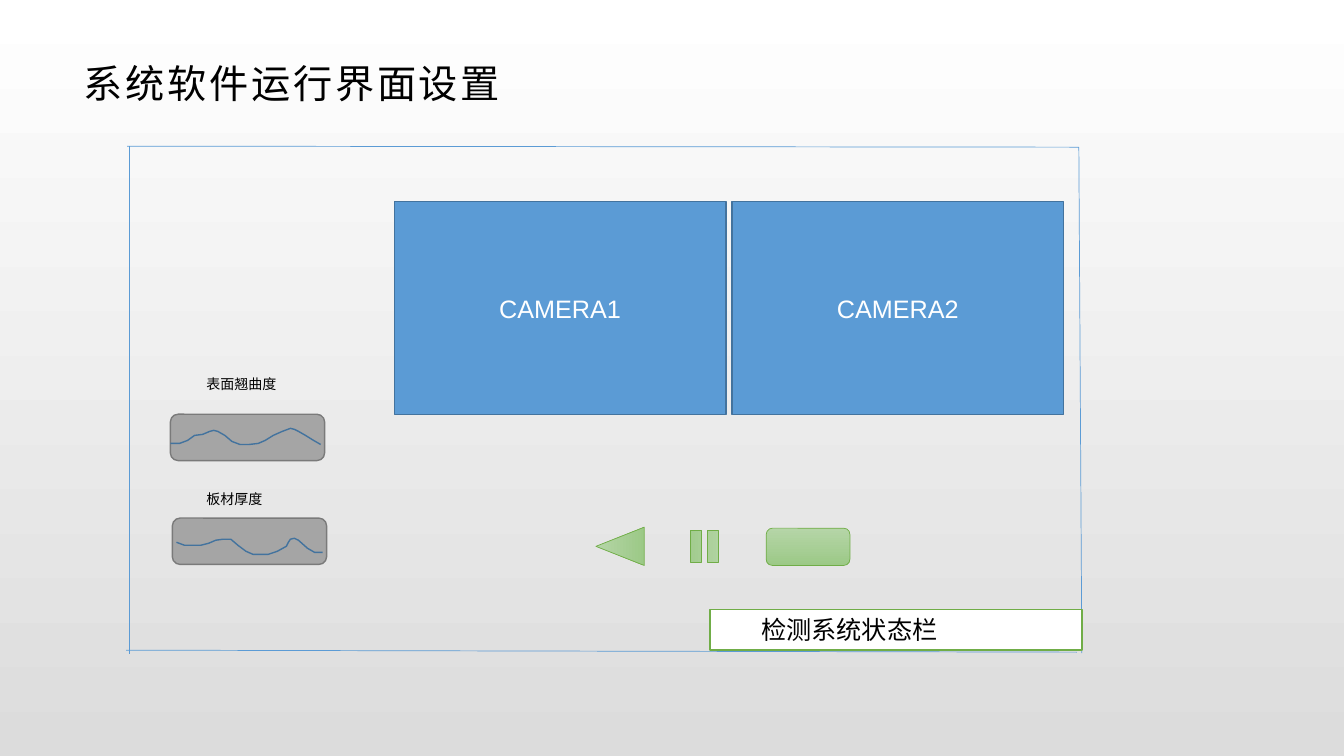
from lxml import etree
from pptx import Presentation
from pptx.dml.color import RGBColor
from pptx.enum.shapes import MSO_CONNECTOR, MSO_SHAPE
from pptx.enum.text import MSO_ANCHOR, PP_ALIGN
from pptx.oxml.ns import qn
from pptx.util import Inches, Pt

RECT = MSO_SHAPE.RECTANGLE
ROUNDED = MSO_SHAPE.ROUNDED_RECTANGLE
TRIANGLE = MSO_SHAPE.ISOSCELES_TRIANGLE
EQUAL = MSO_SHAPE.MATH_EQUAL
STRAIGHT = MSO_CONNECTOR.STRAIGHT
LEFT, CENTER = PP_ALIGN.LEFT, PP_ALIGN.CENTER
TOP, MIDDLE = MSO_ANCHOR.TOP, MSO_ANCHOR.MIDDLE

BLACK = RGBColor(0x00, 0x00, 0x00)
WHITE = RGBColor(0xFF, 0xFF, 0xFF)
BG_END = RGBColor(0xDC, 0xDC, 0xDC)
BLUE = RGBColor(0x5B, 0x9B, 0xD5)
DARK_BLUE = RGBColor(0x43, 0x73, 0x9E)
GRAY = RGBColor(0xA5, 0xA5, 0xA5)
DARK_GRAY = RGBColor(0x7A, 0x7A, 0x7A)
GREEN = RGBColor(0x70, 0xAD, 0x47)
LIGHT_GREEN = RGBColor(0xB5, 0xD5, 0xA7)
MID_GREEN = RGBColor(0x9C, 0xC9, 0x87)


def add_text(sp, text, size=18, color=BLACK, align=LEFT, anchor=TOP, spacing=0):
    tf = sp.text_frame
    tf.word_wrap = True
    tf.vertical_anchor = anchor
    p = tf.paragraphs[0]
    p.alignment = align
    r = p.add_run()
    r.text = text
    r.font.size = Pt(size)
    r.font.name = "Arial"
    r.font.color.rgb = color
    if spacing:
        r.font._element.set("spc", str(spacing * 100))


def add_box(kind, x, y, w, h, fill, line, width=1, fill_end=None):
    sp = s.shapes.add_shape(kind, Inches(x), Inches(y), Inches(w), Inches(h))
    sp.shadow.inherit = False
    if fill_end:
        sp.fill.gradient()
        sp.fill.gradient_angle = 270
        for stop, color in zip(sp.fill.gradient_stops, (fill, fill_end)):
            stop.color.rgb = color
    else:
        sp.fill.solid()
        sp.fill.fore_color.rgb = fill
    sp.line.color.rgb = line
    sp.line.width = Pt(width)
    return sp


prs = Presentation()
prs.slide_width, prs.slide_height = Inches(13.33), Inches(7.5)
s = prs.slides.add_slide(prs.slide_layouts[6])

bg = s.background.fill
bg.gradient()
bg.gradient_angle = 270
for stop, color in zip(bg.gradient_stops, (WHITE, BG_END)):
    stop.color.rgb = color

title = s.shapes.add_textbox(Inches(0.73), Inches(0.47), Inches(11.87), Inches(0.71))
add_text(title, "系统软件运行界面设置", size=28, anchor=MIDDLE, spacing=2)

frame_lines = [
    (1.28, 1.45, 1.28, 6.49),
    (1.26, 1.45, 10.7, 1.46),
    (1.25, 6.45, 10.68, 6.47),
    (10.7, 1.46, 10.73, 6.48),
]
for ends in frame_lines:
    edge = s.shapes.add_connector(STRAIGHT, *map(Inches, ends))
    edge.line.color.rgb = BLUE
    edge.line.width = Pt(0.5)
    etree.SubElement(edge._element.spPr, qn("a:effectLst"))

for x, name in ((3.91, "CAMERA1"), (7.26, "CAMERA2")):
    camera = add_box(RECT, x, 2, 3.29, 2.11, BLUE, DARK_BLUE)
    add_text(camera, name, color=WHITE, align=CENTER, anchor=MIDDLE)

warp_curve = [
    (1.69, 4.4), (1.78, 4.4), (1.86, 4.37), (1.93, 4.32), (2.01, 4.31), (2.08, 4.28),
    (2.12, 4.27), (2.16, 4.28), (2.23, 4.32), (2.3, 4.38), (2.38, 4.41), (2.47, 4.41),
    (2.56, 4.4), (2.63, 4.37), (2.71, 4.32), (2.8, 4.28), (2.88, 4.25), (2.92, 4.26),
    (2.96, 4.28), (3.03, 4.32), (3.11, 4.37), (3.18, 4.41),
]
thickness_curve = [
    (1.75, 5.38), (1.83, 5.41), (1.9, 5.41), (1.99, 5.41), (2.07, 5.39), (2.14, 5.36),
    (2.21, 5.35), (2.29, 5.35), (2.36, 5.41), (2.44, 5.47), (2.51, 5.5), (2.59, 5.5),
    (2.66, 5.5), (2.75, 5.47), (2.84, 5.42), (2.86, 5.38), (2.88, 5.35), (2.92, 5.34),
    (2.96, 5.36), (3.05, 5.44), (3.12, 5.48), (3.2, 5.48),
]
gauges = [
    ("表面翘曲度", 3.68, 1.69, 4.11, warp_curve),
    ("板材厚度", 4.82, 1.71, 5.14, thickness_curve),
]
for name, label_y, x, y, points in gauges:
    add_box(ROUNDED, x, y, 1.53, 0.46, GRAY, DARK_GRAY)
    start, *rest = [(Inches(px), Inches(py)) for px, py in points]
    fb = s.shapes.build_freeform(*start)
    fb.add_line_segments(rest, close=False)
    curve = fb.convert_to_shape()
    curve.shadow.inherit = False
    curve.fill.background()
    curve.line.color.rgb = DARK_BLUE
    curve.line.width = Pt(1)
    label = s.shapes.add_textbox(Inches(1.95), Inches(label_y), Inches(1.04), Inches(0.27))
    add_text(label, name, size=10)

buttons = [
    (TRIANGLE, 5.96, 5.18, 0.38, 0.48, 270),
    (EQUAL, 6.77, 5.18, 0.43, 0.48, 90),
    (ROUNDED, 7.6, 5.24, 0.83, 0.37, 0),
]
for kind, x, y, w, h, rotation in buttons:
    button = add_box(kind, x, y, w, h, LIGHT_GREEN, GREEN, width=0.5, fill_end=MID_GREEN)
    button.rotation = rotation

add_box(RECT, 7.04, 6.05, 3.69, 0.4, WHITE, GREEN)
status = s.shapes.add_textbox(Inches(7.45), Inches(6.05), Inches(3.1), Inches(0.4))
add_text(status, "检测系统状态栏")

prs.save("out.pptx")
